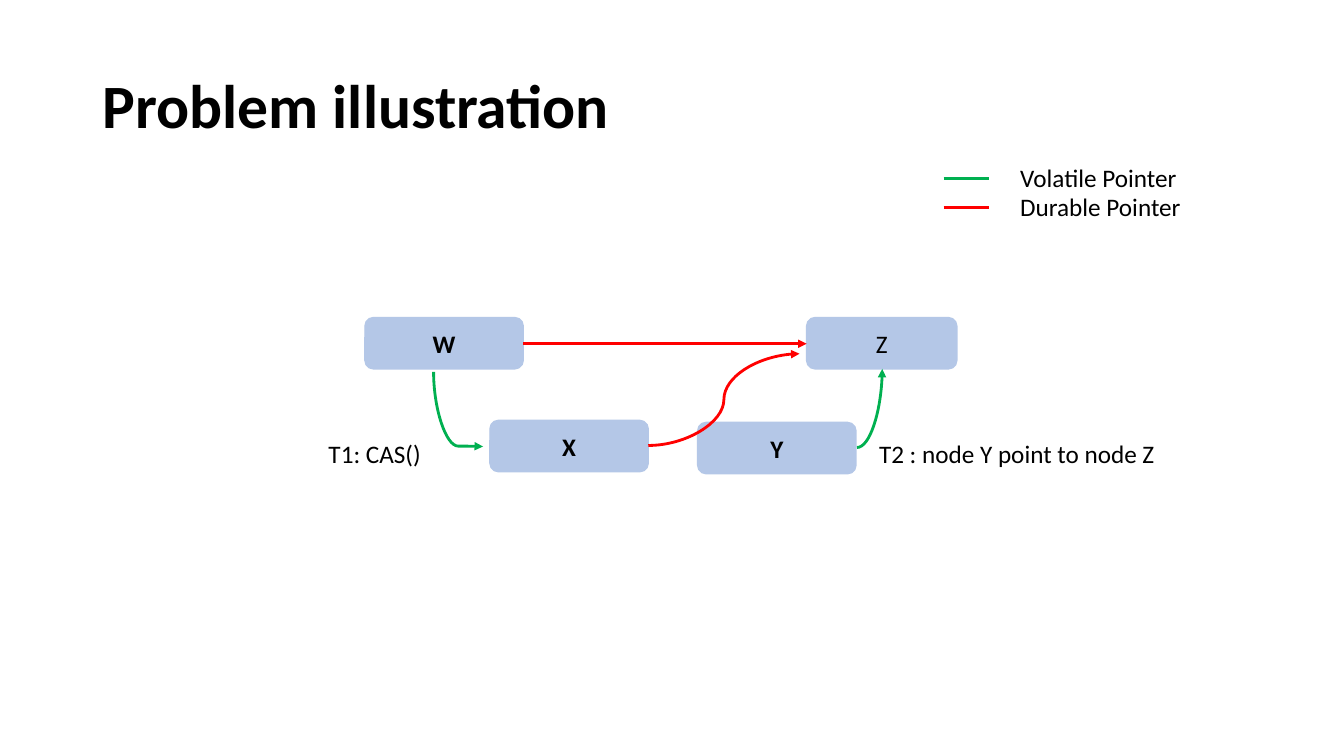
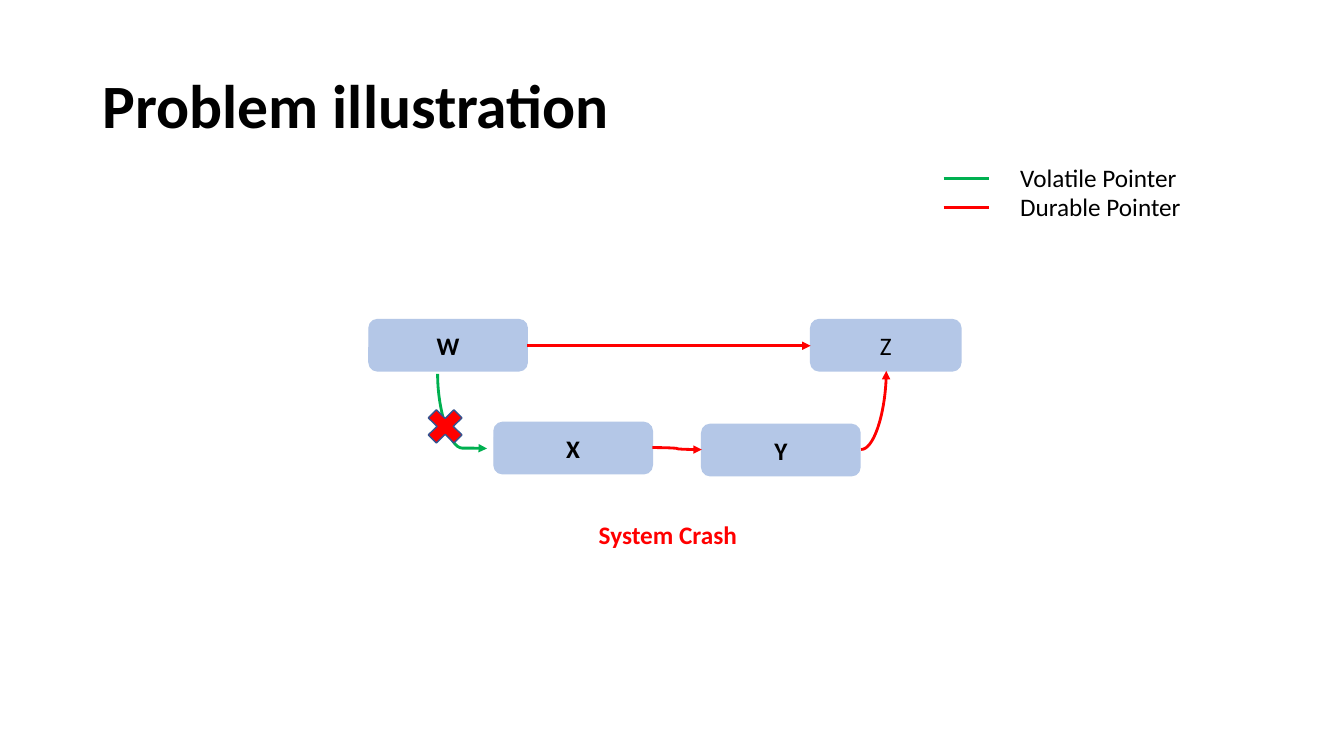
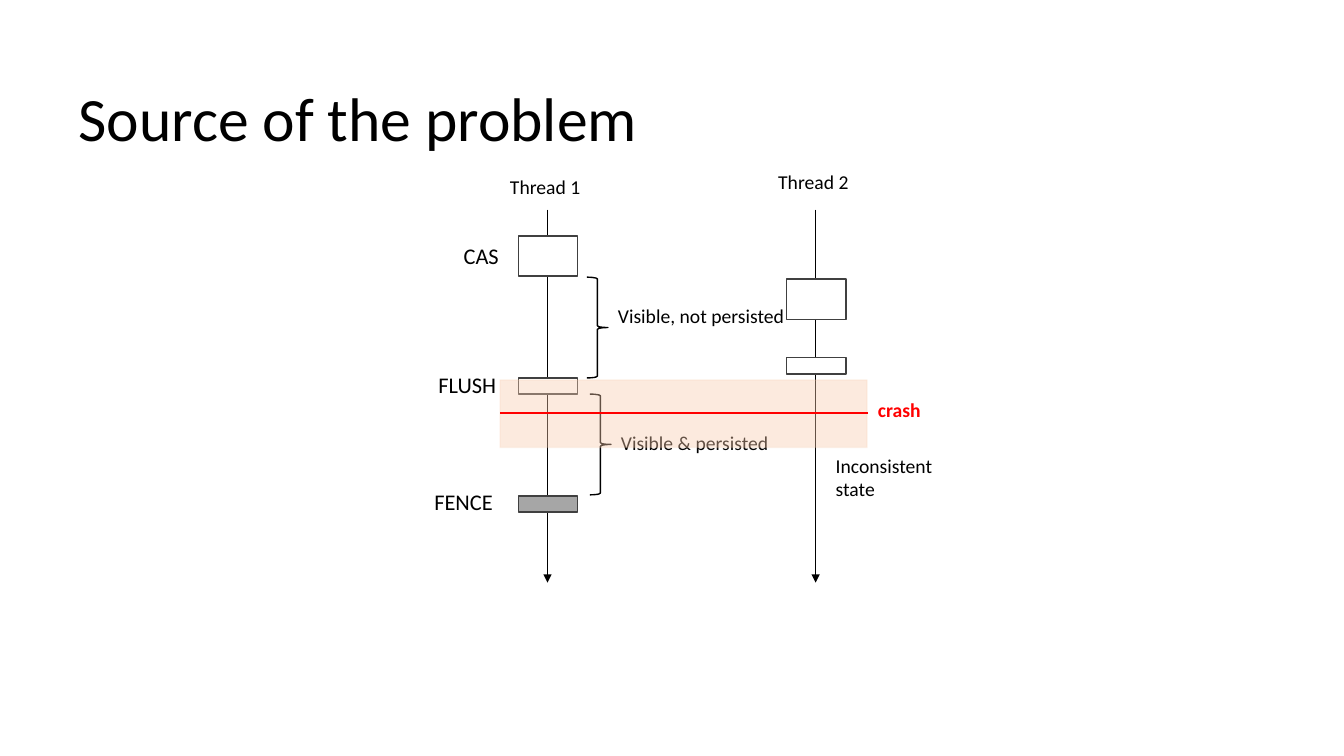
"""Build three slides on volatile and durable pointers in a linked list."""
from lxml import etree
from pptx import Presentation
from pptx.dml.color import RGBColor
from pptx.enum.shapes import MSO_CONNECTOR, MSO_SHAPE
from pptx.enum.text import MSO_ANCHOR, MSO_AUTO_SIZE, PP_ALIGN
from pptx.oxml.ns import qn
from pptx.util import Inches, Pt

STRAIGHT, CURVE = MSO_CONNECTOR.STRAIGHT, MSO_CONNECTOR.CURVE
RECTANGLE, ROUNDED = MSO_SHAPE.RECTANGLE, MSO_SHAPE.ROUNDED_RECTANGLE
BRACE, CROSS = MSO_SHAPE.RIGHT_BRACE, MSO_SHAPE.MATH_MULTIPLY
MIDDLE, CENTER = MSO_ANCHOR.MIDDLE, PP_ALIGN.CENTER
FIT, FIXED = MSO_AUTO_SIZE.SHAPE_TO_FIT_TEXT, MSO_AUTO_SIZE.NONE

FONT = "Calibri"
COLORS = {
    "black": "000000",
    "white": "FFFFFF",
    "node": "B4C7E7",
    "durable": "FF0000",
    "volatile": "00B050",
    "cross_edge": "325491",
    "step_edge": "404040",
    "fence": "A6A6A6",
    "band": "F8CBAD",
}


class SlideBuilder:
    """Hold the deck style and draw elements on the current slide."""

    def __init__(self):
        self.deck = Presentation()
        self.deck.slide_width = Inches(13.33)
        self.deck.slide_height = Inches(7.5)
        self.slide = None

    def new_slide(self, title, left, top, height, bold=False):
        """Start a blank slide with a title."""
        self.slide = self.deck.slides.add_slide(self.deck.slide_layouts[6])
        box = self.text([title], left, top, 11.5, height, 44, bold=bold)
        frame = box.text_frame
        frame.word_wrap = True
        frame.auto_size = FIXED
        frame.vertical_anchor = MIDDLE
        frame.paragraphs[0].line_spacing = 0.9

    def fill_text(self, frame, lines, size, color, bold, align=None):
        """Put one paragraph in the frame for each line."""
        for index, line in enumerate(lines):
            para = frame.add_paragraph() if index else frame.paragraphs[0]
            para.alignment = align
            span = para.add_run()
            span.text = line
            span.font.name = FONT
            span.font.size = Pt(size)
            span.font.bold = bold
            span.font.color.rgb = RGBColor.from_string(COLORS[color])

    def text(self, lines, left, top, width, height, size=18, color="black", bold=False):
        """Add a text box that fits its text."""
        box = self.slide.shapes.add_textbox(
            Inches(left), Inches(top), Inches(width), Inches(height))
        box.text_frame.word_wrap = False
        box.text_frame.auto_size = FIT
        self.fill_text(box.text_frame, lines, size, color, bold)
        return box

    def shape(self, kind, left, top, width, height, fill, edge):
        """Add a preset shape, hollow when fill is None."""
        shape = self.slide.shapes.add_shape(
            kind, Inches(left), Inches(top), Inches(width), Inches(height))
        shape.shadow.inherit = False
        if fill:
            shape.fill.solid()
            shape.fill.fore_color.rgb = RGBColor.from_string(COLORS[fill])
        else:
            shape.fill.background()
        shape.line.color.rgb = RGBColor.from_string(COLORS[edge])
        shape.line.width = Pt(1)
        return shape

    def node(self, label, left, top, width=1.57, bold=True):
        """Add a labelled list node."""
        shape = self.shape(ROUNDED, left, top, width, 0.51, "node", "node")
        shape.text_frame.vertical_anchor = MIDDLE
        self.fill_text(shape.text_frame, [label], 18, "black", bold, CENTER)

    def band(self, left, top, width, height):
        """Add a see-through rectangle."""
        properties = self.shape(RECTANGLE, left, top, width, height, "band", "band").element.spPr
        for color, alpha in zip(properties.iter(qn("a:srgbClr")), (40000, 22000)):
            etree.SubElement(color, qn("a:alpha"), val=str(alpha))

    def line(self, start, end, color, width=2, arrow=True, kind=STRAIGHT):
        """Add a connector from start to end."""
        connector = self.slide.shapes.add_connector(
            kind, *(Inches(value) for value in (*start, *end)))
        connector.line.color.rgb = RGBColor.from_string(COLORS[color])
        connector.line.width = Pt(width)
        properties = connector.element.spPr
        if arrow:
            etree.SubElement(properties.find(qn("a:ln")), qn("a:tailEnd"), type="triangle")
        etree.SubElement(properties, qn("a:effectLst"))
        return properties

    def quarter_curve(self, start, end, color):
        """Add a curve that leaves sideways and arrives upright."""
        properties = self.line(start, end, color, kind=CURVE)
        properties.find(qn("a:prstGeom")).set("prst", "curvedConnector2")

    def drop_curve(self, start, end, color):
        """Add a curve that leaves downwards and levels out at its end."""
        middle_x, middle_y = (start[0] + end[0]) / 2, (start[1] + end[1]) / 2
        half_run, half_drop = (end[0] - start[0]) / 2, (end[1] - start[1]) / 2
        properties = self.line((middle_x + half_drop, middle_y - half_run),
                               (middle_x - half_drop, middle_y + half_run), color, kind=CURVE)
        properties.find(qn("a:xfrm")).set("rot", str(270 * 60000))
        guides = properties.find(qn("a:prstGeom")).find(qn("a:avLst"))
        etree.SubElement(guides, qn("a:gd"), name="adj1", fmla="val 99500")

    def legend(self):
        """Add the key to the pointer colours."""
        rows = (("Volatile Pointer", "volatile", 1.79), ("Durable Pointer", "durable", 1.86))
        for index, (label, color, width) in enumerate(rows):
            top = 1.56 + 0.29 * index
            self.line((9.36, top + 0.21), (9.81, top + 0.21), color, 2.5, arrow=False)
            self.text([label], 10.02, top, width, 0.4)

    def linked_list(self, left, top, x_target, y_color):
        """Add nodes W, X, Y and Z with their pointers."""
        def at(x, y):
            return left + x, top + y

        self.node("W", left, top)
        self.node("Z", *at(4.38, 0), width=1.49, bold=False)
        self.node("X", *at(1.24, 1.02))
        self.node("Y", *at(3.3, 1.04))
        self.line(at(1.57, 0.26), at(4.38, 0.26), "durable")
        self.line(at(2.81, 1.27), at(*x_target), "durable", kind=CURVE)
        self.drop_curve(at(0.68, 0.54), at(1.17, 1.28), "volatile")
        self.quarter_curve(at(4.88, 1.29), at(5.13, 0.51), y_color)

    def problem_slide(self, left, top, x_target, y_color):
        """Add a problem slide with its list and legend."""
        self.new_slide("Problem illustration", 0.92, 0.4, 1.36, bold=True)
        self.linked_list(left, top, x_target, y_color)
        self.legend()

    def timeline(self, label, x, label_top):
        """Add a thread name above its time arrow."""
        self.line((x, 2.08), (x, 5.78), "black", 1)
        self.text([label], x - 0.47, label_top, 0.94, 0.34, 14)

    def step(self, x, top, height, fill="white"):
        """Add a step centred on a timeline."""
        self.shape(RECTANGLE, x - 0.29, top, 0.59, height, fill, "step_edge")


def main():
    """Build and save the deck."""
    builder = SlideBuilder()

    builder.problem_slide(3.62, 3.15, (4.31, 0.36), "volatile")
    builder.text(["T1: CAS()"], 3.16, 4.3, 1.17, 0.4)
    builder.text(["T2 : node Y point to node Z"], 8.62, 4.3, 3.03, 0.4)

    builder.problem_slide(3.66, 3.17, (3.3, 1.29), "durable")
    builder.shape(CROSS, 4.17, 3.99, 0.49, 0.48, "durable", "cross_edge")
    builder.text(["System Crash"], 5.84, 5.1, 1.66, 0.4, color="durable", bold=True)

    builder.new_slide("Source of the problem", 0.68, 0.71, 1)
    first, second = 5.43, 8.09
    builder.timeline("Thread 1", first, 1.69)
    builder.timeline("Thread 2", second, 1.64)
    for label, left, label_top, width, top, height, fill in (
            ("CAS", 4.5, 2.35, 0.58, 2.34, 0.4, "white"),
            ("FLUSH", 4.25, 3.63, 0.83, 3.75, 0.16, "white"),
            ("FENCE", 4.21, 4.79, 0.84, 4.92, 0.16, "fence")):
        builder.step(first, top, height, fill)
        builder.text([label], left, label_top, width, 0.37, 16)
    for label, left, top, label_top, width in (
            ("Visible, not persisted", 5.82, 2.75, 2.97, 1.92),
            ("Visible & persisted", 5.85, 3.91, 4.23, 1.74)):
        builder.shape(BRACE, left, top, 0.21, 1, None, "black")
        builder.text([label], left + 0.21, label_top, width, 0.34, 14)
    builder.step(second, 2.77, 0.4)
    builder.step(second, 3.55, 0.16)
    builder.band(4.96, 3.77, 3.64, 0.67)
    builder.line((8.61, 4.1), (4.96, 4.1), "durable", 1.5, arrow=False)
    builder.text(["crash"], 8.61, 3.9, 0.66, 0.34, 14, "durable", True)
    builder.text(["Inconsistent", "state"], 8.19, 4.45, 1.26, 0.57, 14)

    builder.deck.save("out.pptx")


if __name__ == "__main__":
    main()
